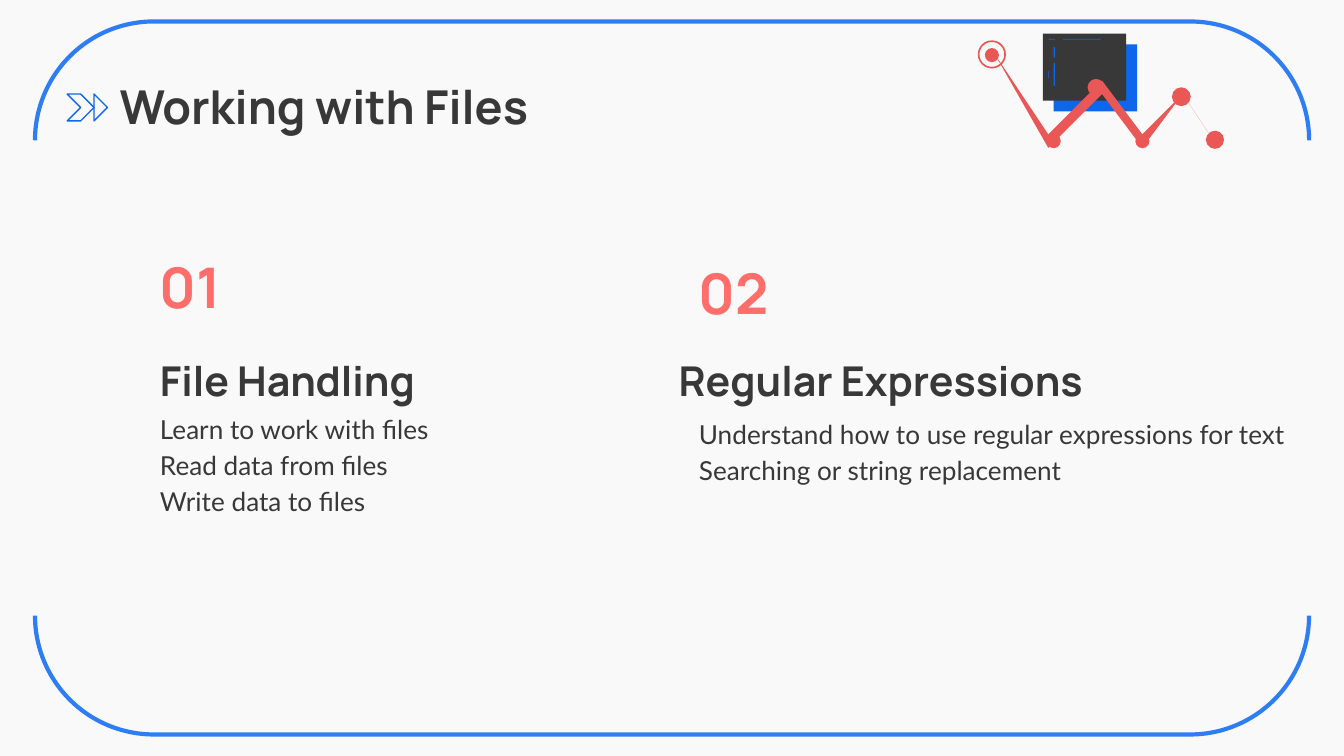
from lxml.etree import SubElement
from pptx import Presentation
from pptx.dml.color import RGBColor
from pptx.enum.shapes import MSO_SHAPE
from pptx.enum.text import MSO_ANCHOR, MSO_AUTO_SIZE, PP_ALIGN
from pptx.oxml.ns import qn
from pptx.util import Inches, Pt

COLORS = {"paper": "F9F9F9", "ink": "383838", "frame": "2E7DF4",
          "blue": "0E66EB", "coral": "FF6E6B", "red": "E95856"}
COLS, ROWS = 100, 56.25
CELL = Inches(0.1)


class Deck:
    """Holds the style and the current slide; lengths are grid cells."""

    heading_font, body_font = "Manrope", "Lato"

    def __init__(self):
        self.prs = Presentation()
        self.prs.slide_width = self.cells(COLS)
        self.prs.slide_height = self.cells(ROWS)

    def cells(self, n):
        return round(n * CELL)

    def color(self, name):
        return RGBColor.from_string(COLORS[name])

    def add_slide(self, layout):
        self.s = self.prs.slides.add_slide(self.prs.slide_layouts[layout])
        fill = self.s.background.fill
        fill.solid()
        fill.fore_color.rgb = self.color("paper")

    def set_text(self, sp, box, lines, size, font, color="ink", bold=False, spacing=1.0):
        sp.left, sp.top, sp.width, sp.height = map(self.cells, box)
        tf = sp.text_frame
        tf.word_wrap = True
        tf.auto_size = MSO_AUTO_SIZE.NONE
        tf.vertical_anchor = MSO_ANCHOR.TOP
        tf.margin_left = tf.margin_right = tf.margin_top = tf.margin_bottom = CELL
        for i, line in enumerate(lines):
            p = tf.add_paragraph() if i else tf.paragraphs[0]
            pPr = p._p.get_or_add_pPr()
            pPr.set("marL", "0")
            pPr.set("indent", "0")
            SubElement(pPr, qn("a:buNone"))
            p.alignment = PP_ALIGN.LEFT
            p.line_spacing = spacing
            p.space_before = p.space_after = Pt(0)
            r = p.add_run()
            r.text = line
            r.font.name, r.font.size, r.font.bold = font, Pt(size), bold
            r.font.color.rgb = self.color(color)

    def title(self, box, text):
        self.set_text(self.s.shapes.title, box, [text], 25, self.heading_font, bold=True)

    def number(self, box, text):
        sp = self.s.shapes.add_textbox(0, 0, CELL, CELL)
        self.set_text(sp, box, [text], 30, self.heading_font, "coral", bold=True)

    def heading(self, idx, box, text):
        self.set_text(self.s.placeholders[idx], box, [text], 22, self.heading_font,
                      bold=True, spacing=1.15)

    def body(self, idx, box, lines):
        self.set_text(self.s.placeholders[idx], box, lines, 14, self.body_font, spacing=1.15)

    def paint(self, sp, fill=None, line=None, weight=0.75):
        sp.shadow.inherit = False
        if fill:
            sp.fill.solid()
            sp.fill.fore_color.rgb = self.color(fill)
        else:
            sp.fill.background()
        if line:
            sp.line.color.rgb = self.color(line)
            sp.line.width = Pt(weight)
        else:
            sp.line.fill.background()
        return sp

    def shape(self, kind, box, **style):
        sp = self.s.shapes.add_shape(kind, *map(self.cells, box))
        return self.paint(sp, **style)

    def dot(self, x, y, d, kind=MSO_SHAPE.OVAL):
        return self.shape(kind, (x - d / 2, y - d / 2, d, d), fill="red")

    def outline(self, points, **style):
        fb = self.s.shapes.build_freeform(*points[0], scale=CELL)
        fb.add_line_segments(points[1:], close=True)
        return self.paint(fb.convert_to_shape(), **style)

    def frame(self, margin_x, margin_y):
        """Draw a bracket pair turned to hug the top and bottom edges."""
        w, h = ROWS - 2 * margin_y, COLS - 2 * margin_x
        sp = self.shape(MSO_SHAPE.DOUBLE_BRACKET, ((COLS - w) / 2, (ROWS - h) / 2, w, h),
                        line="frame", weight=2.25)
        sp.rotation = 90

    def chevron(self, x, y):
        upper = [(0.2, -1), (0.1, -0.95), (0.02, -0.85), (0.02, -0.75), (0.08, -0.68)]
        lower = [(dx, -dy) for dx, dy in reversed(upper)]
        points = upper + [(0.75, 0)] + lower + [(0.36, 0.97), (1.3, 0), (0.36, -0.97)]
        self.outline([(x + dx, y + dy) for dx, dy in points], fill="paper", line="blue")

    def screen(self):
        self.shape(MSO_SHAPE.RECTANGLE, (78.4, 3.3, 6.2, 5), fill="blue")
        self.shape(MSO_SHAPE.RECTANGLE, (77.6, 2.5, 6.2, 5), fill="ink")
        code_marks = [(78, 2.9, 0.5, 0.05), (79.1, 2.9, 2.8, 0.05), (78.4, 3.5, 0.1, 0.8),
                      (78.4, 4.7, 0.1, 1.7), (78, 5.3, 0.05, 0.5)]
        for box in code_marks:
            self.shape(MSO_SHAPE.RECTANGLE, box, fill="blue")

    def trend(self):
        top_edge = [(73.9, 4), (78.4, 10.5), (81.6, 6.3), (85, 10.5), (87.9, 7), (90.5, 10.3)]
        low_edge = [(90.3, 10.5), (87.9, 7.4), (85, 10.9), (81.6, 6.8), (78.4, 10.9), (73.7, 4.1)]
        self.outline(top_edge + low_edge, fill="red")
        for x, y, d in [(90.4, 10.4, 1.35), (85, 10.5, 1.05), (78.4, 10.5, 1.05),
                        (73.8, 4.1, 1.05), (87.9, 7.2, 1.4), (81.55, 6.5, 1.25)]:
            self.dot(x, y, d)
        ring = self.dot(73.8, 4.05, 2.1, MSO_SHAPE.DONUT)
        ring.adjustments[0] = 0.06


def main():
    deck = Deck()
    deck.add_slide(4)
    deck.frame(2.6, 1.6)
    deck.title((7.9, 4.8, 84.3, 6.3), "Working with Files")
    deck.number((10.9, 17.8, 8, 5.9), "01")
    deck.heading(1, (10.9, 24.9, 28.3, 5.3), "File Handling")
    deck.body(2, (10.9, 29.4, 30.4, 10.9), [
        "Learn to work with files", "Read data from files", "Write data to files"])
    deck.number((51, 18.2, 8, 5.9), "02")
    deck.heading(3, (49.5, 24.9, 37.9, 5.3), "Regular Expressions")
    deck.body(4, (51, 29.8, 45.8, 11.5), [
        "Understand how to use regular expressions for text",
        "Searching or string replacement"])
    for x in (6.5, 5.3):
        deck.chevron(x, 8)
    deck.screen()
    deck.trend()
    deck.prs.save("out.pptx")


if __name__ == "__main__":
    main()
